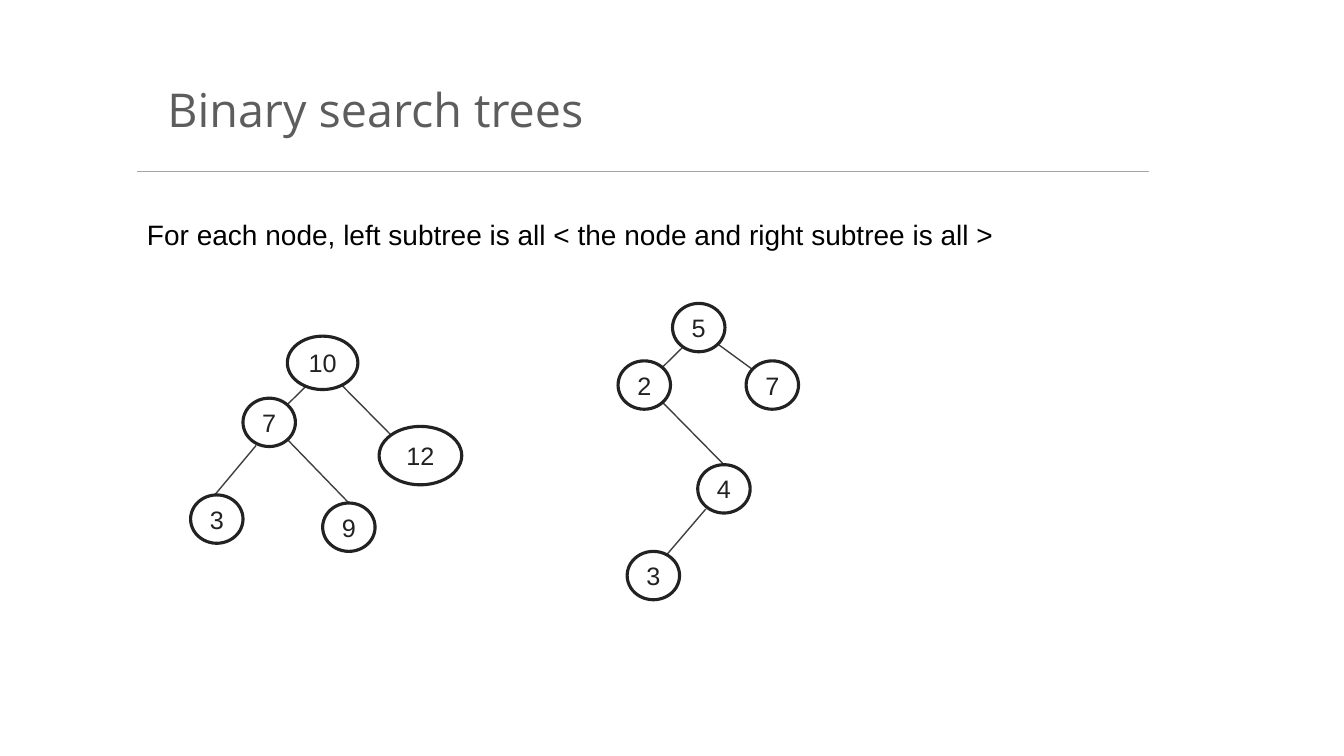
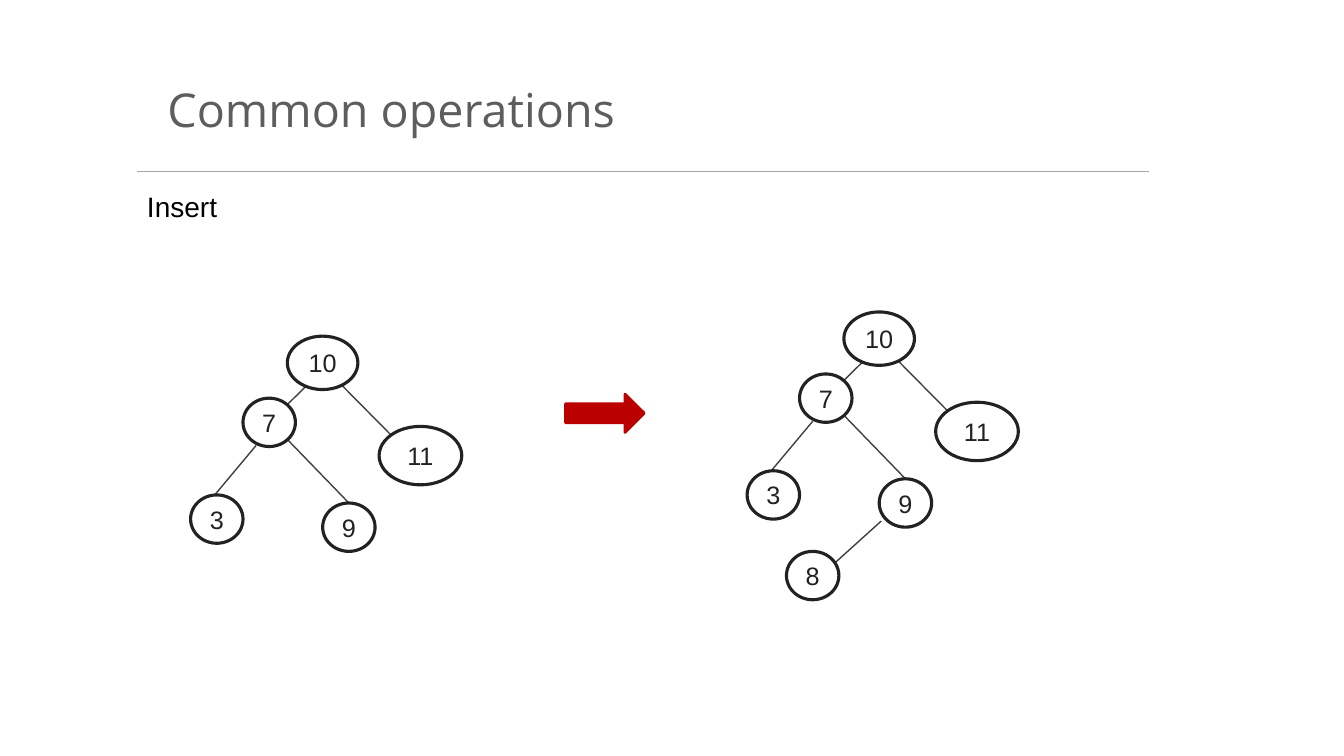
from lxml.etree import SubElement
from pptx import Presentation
from pptx.dml.color import RGBColor
from pptx.enum.shapes import MSO_CONNECTOR as Connector, MSO_SHAPE as Shape
from pptx.enum.text import MSO_ANCHOR as Anchor, MSO_AUTO_SIZE as AutoSize, PP_ALIGN as Align
from pptx.oxml.ns import qn
from pptx.util import Inches, Pt

COLORS = {"title": "5D5D5D", "rule": "A5A5A5", "text": "000000", "node": "222222",
          "edge": "404040", "paper": "FFFFFF", "arrow": "BB0000"}
BODY_FONT, TITLE_FONT = "Arial", "Open Sans"
LEFT, RULE_RIGHT, RULE_TOP, TEXT_WIDTH = 1.36, 11.4, 1.7, 9.17
SMALL, MEDIUM, LARGE = (0.52, 0.48), (0.7, 0.53), (0.82, 0.58)

# Where an edge meets a node, measured from the node's centre
TOP, LOWER_RIGHT = (0, -0.24), (0.18, 0.17)


def ten_tree(right_label):
    """Nodes map a label to (centre x, centre y, size); edges are
    (parent, child, offset from parent centre, offset from child centre)."""
    nodes = {"9": (3.46, 5.23, SMALL), "10": (3.2, 3.6, MEDIUM), "7": (2.67, 4.19, SMALL),
             right_label: (4.17, 4.52, LARGE), "3": (2.15, 5.15, SMALL)}
    edges = [("10", "7", (0.04, 0.03), (-0.04, 0.04)),
             ("10", right_label, (0.03, 0.06), (-0.12, -0.03)),
             ("7", "9", LOWER_RIGHT, TOP),
             ("7", "3", (-0.13, 0.23), (-0.02, -0.24))]
    return nodes, edges


FIVE_TREE = (
    {"4": (7.18, 4.85, SMALL), "5": (6.93, 3.25, SMALL), "2": (6.39, 3.82, SMALL),
     "7": (7.66, 3.82, SMALL), "3": (6.48, 5.71, SMALL)},
    [("5", "2", (0.03, 0.01), (-0.04, 0.04)),
     ("5", "7", (0.02, 0.04), (0.03, 0.01)),
     ("2", "4", LOWER_RIGHT, TOP),
     ("4", "3", (-0.18, 0.2), (0.11, -0.18))],
)

before_nodes, before_edges = ten_tree("11")
AFTER_INSERT = (
    {**before_nodes, "8": (2.54, 5.95, SMALL)},
    before_edges + [("9", "8", (-0.24, 0.18), (0.17, -0.08))],
)

# Each tree is paired with the shift that puts it in place
SLIDES = [
    {"title": "Binary search trees",
     "text": "For each node, left subtree is all < the node and right subtree is all >",
     "text_top": 2.11,
     "trees": [(FIVE_TREE, (0, 0)), (ten_tree("12"), (0, 0))]},
    {"title": "Common operations",
     "text": "Insert",
     "text_top": 1.83,
     "trees": [((before_nodes, before_edges), (0, 0)), (AFTER_INSERT, (5.52, -0.24))],
     "arrow": (5.61, 3.91, 0.78, 0.38)},
]


def color(name):
    return RGBColor.from_string(COLORS[name])


def style_font(para, name, size, color_name):
    para.font.name, para.font.size = name, Pt(size)
    para.font.color.rgb = color(color_name)


def add_line(slide, start, end, color_name):
    line = slide.shapes.add_connector(Connector.STRAIGHT, *map(Inches, (*start, *end)))
    line.line.color.rgb = color(color_name)
    line.line.width = Pt(1)
    SubElement(line.element.spPr, qn("a:effectLst"))
    return line


def add_filled_shape(slide, kind, place, fill, outline, width):
    shape = slide.shapes.add_shape(kind, *map(Inches, place))
    shape.shadow.inherit = False
    shape.fill.solid()
    shape.fill.fore_color.rgb = color(fill)
    shape.line.color.rgb = color(outline)
    shape.line.width = Pt(width)
    return shape


def add_node(slide, label, x, y, size):
    width, height = size
    node = add_filled_shape(slide, Shape.OVAL, (x - width / 2, y - height / 2, width, height),
                            "paper", "node", 2.25)
    frame = node.text_frame
    frame.word_wrap = False
    frame.vertical_anchor = Anchor.MIDDLE
    para = frame.paragraphs[0]
    para.text, para.alignment = label, Align.CENTER
    style_font(para, BODY_FONT, 18, "node")


def add_tree(slide, tree, shift):
    nodes, edges = tree
    centres = {label: (x + shift[0], y + shift[1]) for label, (x, y, _) in nodes.items()}
    for parent, child, parent_offset, child_offset in edges:
        start, end = [[sum(pair) for pair in zip(centres[label], offset)]
                      for label, offset in ((parent, parent_offset), (child, child_offset))]
        add_line(slide, start, end, "edge")
    for label, (_, _, size) in nodes.items():
        add_node(slide, label, *centres[label], size)


def set_title(slide, text):
    title = slide.shapes.title
    title.left, title.top, title.width, title.height = map(Inches, (LEFT, 0.78, TEXT_WIDTH, 0.71))
    frame = title.text_frame
    frame.auto_size = AutoSize.NONE
    frame.vertical_anchor = Anchor.MIDDLE
    frame.margin_left = Inches(0.3)
    frame.margin_top = frame.margin_right = frame.margin_bottom = Inches(0.05)
    para = frame.paragraphs[0]
    para.text, para.alignment = text, Align.LEFT
    para.line_spacing, para.space_before = 0.8, Pt(10)
    style_font(para, TITLE_FONT, 33.3, "title")


def add_text(slide, text, top):
    box = slide.shapes.add_textbox(*map(Inches, (LEFT, top, TEXT_WIDTH, 0.44)))
    box.text_frame.word_wrap = True
    para = box.text_frame.paragraphs[0]
    para.text = text
    style_font(para, BODY_FONT, 20, "text")


def add_slide(deck, layout, content):
    slide = deck.slides.add_slide(layout)
    set_title(slide, content["title"])
    add_line(slide, (LEFT, RULE_TOP), (RULE_RIGHT, RULE_TOP), "rule")
    add_text(slide, content["text"], content["text_top"])
    for tree, shift in content["trees"]:
        add_tree(slide, tree, shift)
    if "arrow" in content:
        add_filled_shape(slide, Shape.RIGHT_ARROW, content["arrow"], "arrow", "arrow", 2)


def main():
    deck = Presentation()
    deck.slide_width, deck.slide_height = Inches(13.33), Inches(7.5)
    title_only = deck.slide_layouts[5]
    for content in SLIDES:
        add_slide(deck, title_only, content)
    deck.save("out.pptx")


if __name__ == "__main__":
    main()
